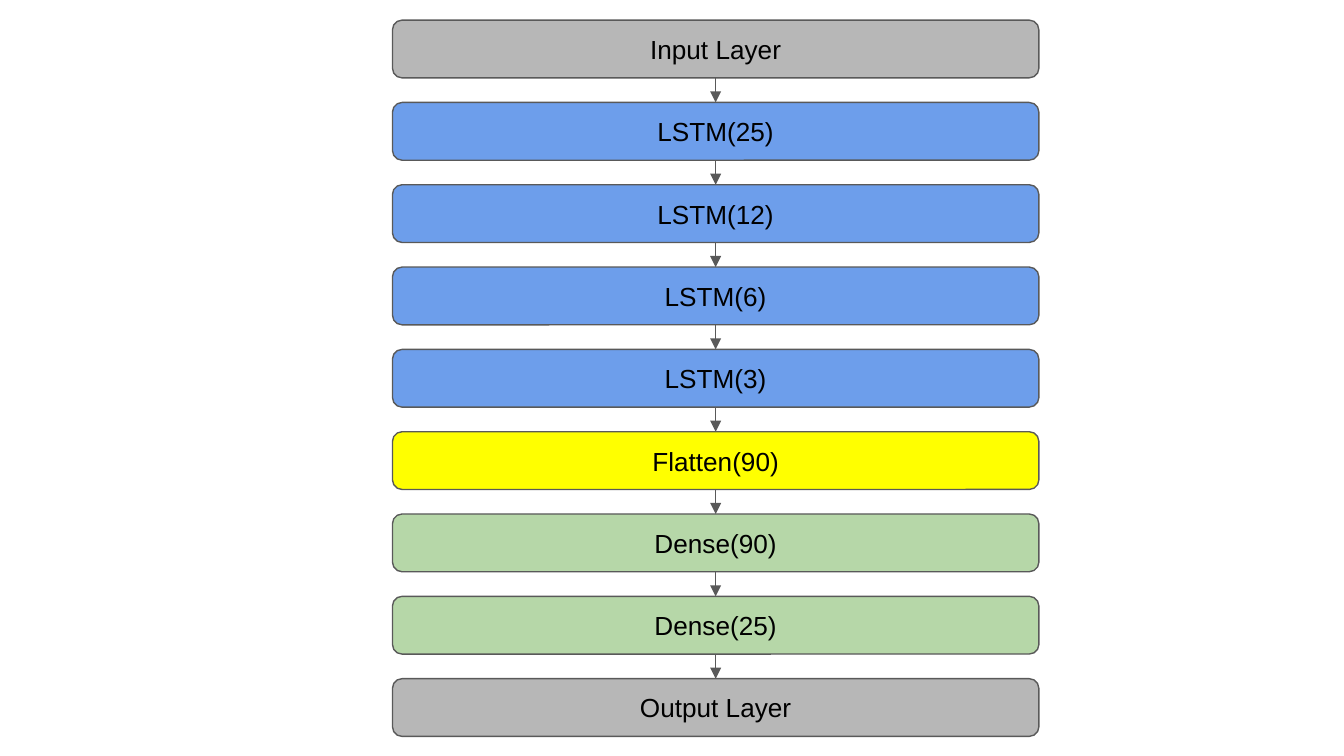
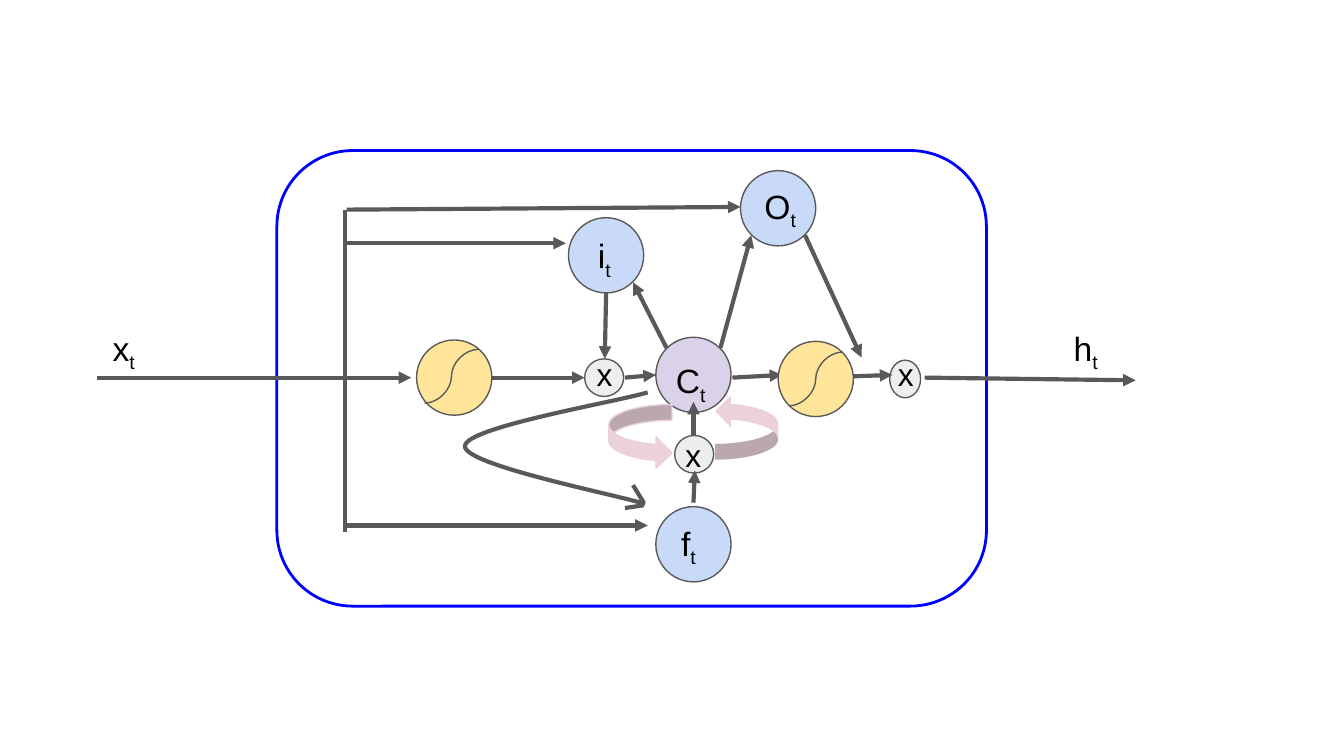
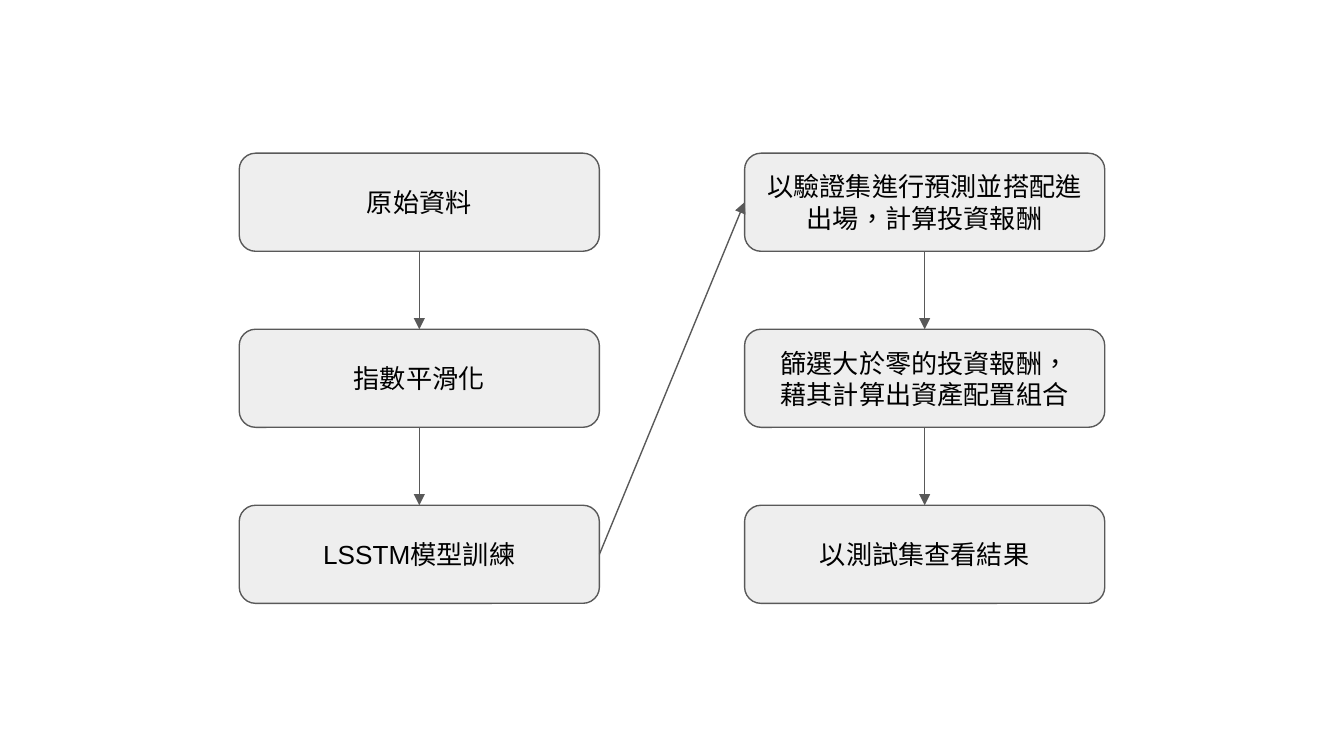
from typing import NamedTuple, Optional

from lxml import etree
from pptx import Presentation
from pptx.dml.color import RGBColor
from pptx.enum.shapes import MSO_CONNECTOR, MSO_SHAPE
from pptx.enum.text import MSO_ANCHOR, PP_ALIGN
from pptx.oxml.ns import qn
from pptx.util import Inches, Pt

ROUNDED = MSO_SHAPE.ROUNDED_RECTANGLE
OVAL = MSO_SHAPE.OVAL
LOOP_ARROW = MSO_SHAPE.CURVED_RIGHT_ARROW
STRAIGHT = MSO_CONNECTOR.STRAIGHT
CURVE = MSO_CONNECTOR.CURVE
LEFT = PP_ALIGN.LEFT
CENTER = PP_ALIGN.CENTER
TOP = MSO_ANCHOR.TOP
MIDDLE = MSO_ANCHOR.MIDDLE

PAGE_WIDTH = 10
PAGE_HEIGHT = PAGE_WIDTH * 9 / 16

FONT = "Arial"
LANGUAGE = "zh-TW"
BLACK = "000000"
INK = "595959"
GRAY = "B7B7B7"
PALE_GRAY = "EEEEEE"
BLUE = "6D9EEB"
PALE_BLUE = "C9DAF8"
FRAME_BLUE = "0000FF"
YELLOW = "FFFF00"
PALE_YELLOW = "FFE599"
GREEN = "B6D7A8"
LAVENDER = "D9D2E9"
PINK = "EAD1DC"

THIN = 0.75
THICK = 2.25
TOP_SITE, LEFT_SITE, BOTTOM_SITE, RIGHT_SITE = range(4)


class Box(NamedTuple):
    left: float
    top: float
    width: float
    height: float


class Layer(NamedTuple):
    text: str
    color: str


class Line(NamedTuple):
    start: tuple[float, float]
    end: tuple[float, float]
    arrow: bool = True


class Node(NamedTuple):
    box: Box
    color: str


class Label(NamedTuple):
    box: Box
    text: str
    subscript: str = ""
    size: float = 18
    align: PP_ALIGN = LEFT


LAYERS = [
    Layer("Input Layer", GRAY),
    Layer("LSTM(25)", BLUE),
    Layer("LSTM(12)", BLUE),
    Layer("LSTM(6)", BLUE),
    Layer("LSTM(3)", BLUE),
    Layer("Flatten(90)", YELLOW),
    Layer("Dense(90)", GREEN),
    Layer("Dense(25)", GREEN),
    Layer("Output Layer", GRAY),
]

CELL_FRAME = Box(2.06, 1.12, 5.28, 3.39)
GATE = 0.56

LINES_BEHIND_NODES = [
    Line((0.72, 2.81), (3.06, 2.81)),
    Line((2.57, 2.84), (2.57, 1.56), False),
    Line((2.57, 3.96), (2.57, 2.67), False),
    Line((2.58, 1.56), (5.51, 1.54)),
    Line((2.58, 1.81), (4.21, 1.81)),
    Line((2.58, 3.91), (4.82, 3.91)),
    Line((5.99, 1.75), (6.41, 2.66)),
    Line((3.66, 2.81), (4.35, 2.81)),
    Line((4.51, 2.18), (4.5, 2.67)),
    Line((4.65, 2.81), (4.88, 2.79)),
    Line((4.96, 2.59), (4.71, 2.1)),
    Line((5.36, 2.59), (5.59, 1.75)),
    Line((5.45, 2.81), (5.82, 2.79)),
    Line((6.88, 2.81), (8.45, 2.83)),
]
NODES = [
    Node(Box(5.51, 1.27, GATE, GATE), PALE_BLUE),
    Node(Box(4.23, 1.62, GATE, GATE), PALE_BLUE),
    Node(Box(4.88, 3.77, GATE, GATE), PALE_BLUE),
    Node(Box(3.1, 2.53, GATE, GATE), PALE_YELLOW),
    Node(Box(5.79, 2.54, GATE, GATE), PALE_YELLOW),
    Node(Box(4.88, 2.51, GATE, GATE), LAVENDER),
    Node(Box(4.35, 2.67, 0.29, 0.28), PALE_GRAY),
    Node(Box(5.02, 3.24, 0.29, 0.28), PALE_GRAY),
    Node(Box(6.62, 2.68, 0.23, 0.28), PALE_GRAY),
]
LINES_OVER_NODES = [
    Line((6.35, 2.8), (6.64, 2.79)),
    Line((5.16, 3.24), (5.16, 2.99)),
    Line((5.16, 3.74), (5.17, 3.5)),
]
SIGMOIDS = [
    Line((3.56, 2.6), (3.16, 3.0), False),
    Line((6.27, 2.62), (5.87, 3.02), False),
]
FEEDBACK_HEAD = [
    Line((4.65, 3.78), (4.79, 3.76), False),
    Line((4.71, 3.61), (4.79, 3.74), False),
]
# Feedback curve in hundredths of an inch: start, then two controls and an end.
FEEDBACK_START = (482, 292)
FEEDBACK_CURVES = [
    ((459, 299), (346, 318), (346, 332)),
    ((345, 346), (458, 368), (480, 375)),
]
FEEDBACK_ORIGIN = (346, 292)

CELL_LABELS = [
    Label(Box(0.74, 2.34, GATE, 0.33), "x", "t"),
    Label(Box(5.59, 1.28, GATE, 0.33), "O", "t"),
    Label(Box(4.93, 2.58, GATE, 0.33), "C", "t"),
    Label(Box(4.97, 3.79, GATE, 0.33), "f", "t"),
    Label(Box(4.35, 1.65, GATE, 0.33), "i", "t"),
    Label(Box(7.89, 2.34, GATE, 0.33), "h", "t"),
    Label(Box(4.34, 2.54, 0.42, 0.4), "x", size=17),
    Label(Box(4.88, 3.14, GATE, 0.4), "x", size=17, align=CENTER),
    Label(Box(6.53, 2.54, 0.42, 0.4), "x", size=17, align=CENTER),
]

STEP_COLUMNS = [
    ["原始資料", "指數平滑化", "LSSTM模型訓練"],
    [
        "以驗證集進行預測並搭配進出場，計算投資報酬",
        "篩選大於零的投資報酬，\n藉其計算出資產配置組合",
        "以測試集查看結果",
    ],
]


def rgb(color: str) -> RGBColor:
    return RGBColor.from_string(color)


def inches(box: Box) -> list[int]:
    return [Inches(length) for length in box]


def style_span(span, size: float) -> None:
    span.font.size = Pt(size)
    span.font.name = FONT
    span.font.color.rgb = rgb(BLACK)
    properties = span.font._element
    properties.set("lang", LANGUAGE)
    etree.SubElement(properties, qn("a:ea")).set("typeface", FONT)


def write_text(shape, text: str, size: float, align: PP_ALIGN, anchor: MSO_ANCHOR) -> None:
    frame = shape.text_frame
    frame.word_wrap = True
    frame.vertical_anchor = anchor
    frame.margin_left = frame.margin_right = Inches(0.1)
    frame.margin_top = frame.margin_bottom = Inches(0.1)
    frame.text = text
    for para in frame.paragraphs:
        para.alignment = align
        for span in para.runs:
            style_span(span, size)


def style_shape(shape, fill: Optional[str], line: Optional[str], width: float = THIN) -> None:
    shape.shadow.inherit = False
    if fill:
        shape.fill.solid()
        shape.fill.fore_color.rgb = rgb(fill)
    else:
        shape.fill.background()
    if line:
        shape.line.color.rgb = rgb(line)
        shape.line.width = Pt(width)
    else:
        shape.line.fill.background()


def add_step(page, box: Box, text: str, fill: str):
    step = page.shapes.add_shape(ROUNDED, *inches(box))
    style_shape(step, fill, INK)
    write_text(step, text, 14, CENTER, MIDDLE)
    return step


def add_line(page, line: Line, width: float = THICK, kind: MSO_CONNECTOR = STRAIGHT):
    ends = [Inches(length) for length in line.start + line.end]
    connector = page.shapes.add_connector(kind, *ends)
    connector.line.color.rgb = rgb(INK)
    connector.line.width = Pt(width)
    properties = connector._element.spPr
    if line.arrow:
        outline = properties.find(qn("a:ln"))
        etree.SubElement(outline, qn("a:tailEnd")).set("type", "triangle")
    etree.SubElement(properties, qn("a:effectLst"))
    return connector


def join_steps(page, first, first_site: int, second, second_site: int) -> None:
    connector = add_line(page, Line((0, 0), (0, 0)), THIN)
    connector.begin_connect(first, first_site)
    connector.end_connect(second, second_site)


def join_down(page, steps: list) -> None:
    for upper, lower in zip(steps, steps[1:]):
        join_steps(page, upper, BOTTOM_SITE, lower, TOP_SITE)


def add_label(page, label: Label) -> None:
    box = page.shapes.add_textbox(*inches(label.box))
    write_text(box, label.text, label.size, label.align, TOP)
    if label.subscript:
        span = box.text_frame.paragraphs[0].add_run()
        span.text = label.subscript
        style_span(span, label.size)
        span.font._element.set("baseline", "-25000")


def add_feedback_curve(page) -> None:
    """Draw a polyline through the curve's ends, then bend its segments."""
    builder = page.shapes.build_freeform(*FEEDBACK_START, scale=Inches(0.01))
    builder.add_line_segments([curve[-1] for curve in FEEDBACK_CURVES], close=False)
    feedback = builder.convert_to_shape()
    style_shape(feedback, None, INK, THICK)
    segments = list(feedback._element.iter(qn("a:lnTo")))
    for segment, curve in zip(segments, FEEDBACK_CURVES):
        bend = etree.Element(qn("a:cubicBezTo"))
        for x, y in curve:
            point = etree.SubElement(bend, qn("a:pt"))
            point.set("x", str(x - FEEDBACK_ORIGIN[0]))
            point.set("y", str(y - FEEDBACK_ORIGIN[1]))
        segment.getparent().replace(segment, bend)


def build_layer_stack(page) -> None:
    first_top, last_top = 0.15, 5.05
    pitch = (last_top - first_top) / (len(LAYERS) - 1)
    steps = [
        add_step(page, Box(2.92, first_top + row * pitch, 4.81, 0.43), layer.text, layer.color)
        for row, layer in enumerate(LAYERS)
    ]
    join_down(page, steps)


def build_lstm_cell(page) -> None:
    frame = page.shapes.add_shape(ROUNDED, *inches(CELL_FRAME))
    style_shape(frame, None, FRAME_BLUE, 1.5)
    for line in LINES_BEHIND_NODES:
        add_line(page, line)
    for node in NODES:
        circle = page.shapes.add_shape(OVAL, *inches(node.box))
        style_shape(circle, node.color, INK)
    for line in LINES_OVER_NODES:
        add_line(page, line)

    left_loop = page.shapes.add_shape(LOOP_ARROW, *inches(Box(4.53, 3.01, 0.47, 0.48)))
    style_shape(left_loop, PINK, PINK)
    right_loop = page.shapes.add_shape(LOOP_ARROW, *inches(Box(5.32, 2.94, 0.47, 0.48)))
    style_shape(right_loop, PINK, None)
    right_loop.rotation = 180

    for sigmoid in SIGMOIDS:
        add_line(page, sigmoid, THIN, CURVE)
    add_feedback_curve(page)
    for line in FEEDBACK_HEAD:
        add_line(page, line)
    for label in CELL_LABELS:
        add_label(page, label)


def build_workflow(page) -> None:
    columns = []
    for column, texts in enumerate(STEP_COLUMNS):
        left = 1.78 + column * 3.76
        steps = [
            add_step(page, Box(left, 1.14 + row * 1.31, 2.68, 0.73), text, PALE_GRAY)
            for row, text in enumerate(texts)
        ]
        join_down(page, steps)
        columns.append(steps)
    join_steps(page, columns[0][-1], RIGHT_SITE, columns[1][0], LEFT_SITE)


def main() -> None:
    deck = Presentation()
    deck.slide_width = Inches(PAGE_WIDTH)
    deck.slide_height = Inches(PAGE_HEIGHT)
    blank = deck.slide_layouts[6]
    for build in (build_layer_stack, build_lstm_cell, build_workflow):
        build(deck.slides.add_slide(blank))
    deck.save("out.pptx")


if __name__ == "__main__":
    main()
